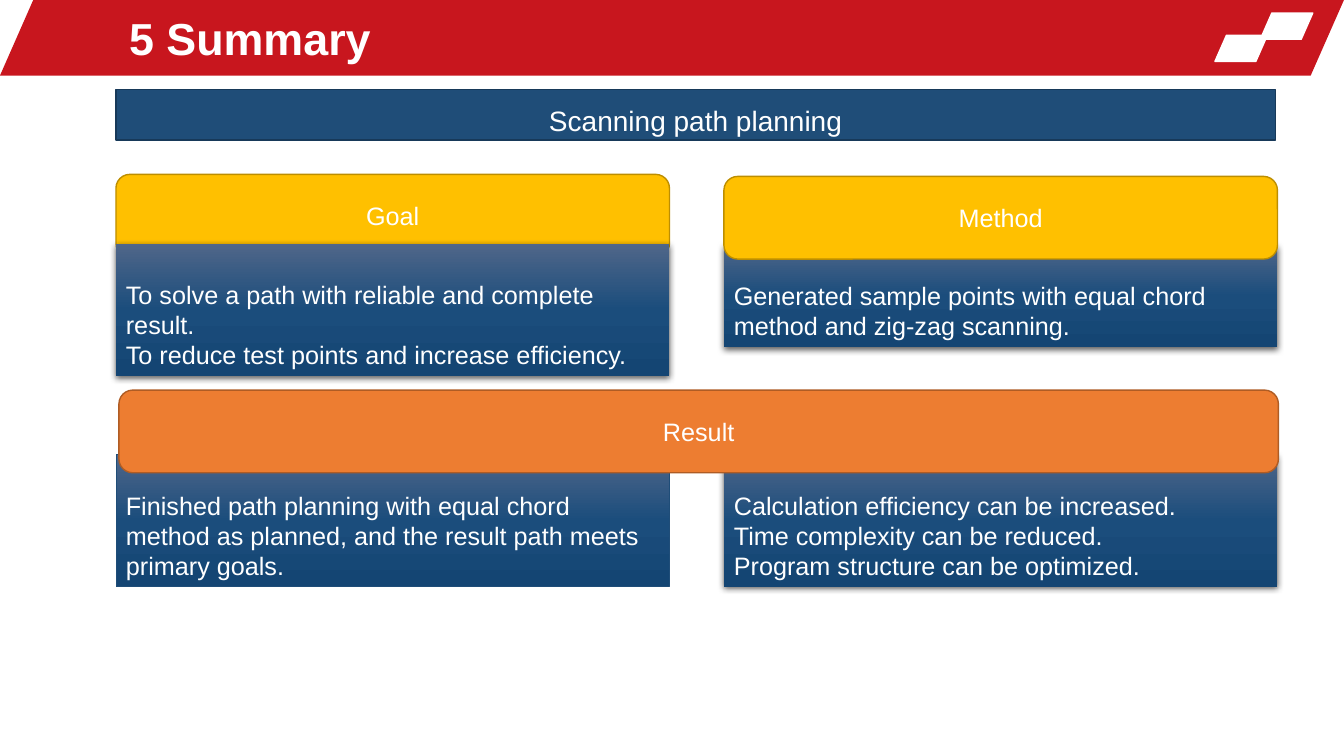
from dataclasses import dataclass

from lxml import etree
from pptx import Presentation
from pptx.dml.color import RGBColor
from pptx.enum.shapes import MSO_SHAPE
from pptx.enum.text import MSO_ANCHOR, MSO_AUTO_SIZE, PP_ALIGN
from pptx.oxml.ns import qn
from pptx.shapes.autoshape import Shape
from pptx.slide import Slide
from pptx.util import Emu, Pt

PARALLELOGRAM = MSO_SHAPE.PARALLELOGRAM
RECTANGLE = MSO_SHAPE.RECTANGLE
ROUNDED = MSO_SHAPE.ROUNDED_RECTANGLE
LEFT, CENTER = PP_ALIGN.LEFT, PP_ALIGN.CENTER
TOP, MIDDLE = MSO_ANCHOR.TOP, MSO_ANCHOR.MIDDLE
NO_AUTOFIT = MSO_AUTO_SIZE.NONE

EMU_PER_PX = 9144
FONT = "Arial"
COLORS = {
    "white": "FFFFFF",
    "red": "C8161E",
    "gold": "FFC000",
    "gold edge": "BD8E00",
    "orange": "ED7D31",
    "orange edge": "AF5C24",
    "navy": "1F4D78",
    "navy edge": "173959",
    "shadow": "000000",
}
CARD_GRADIENT = ((0, "4F6689"), (50, "1B4D7C"), (100, "144573"))
LEFT_COLUMN, RIGHT_COLUMN = 115, 718
COLUMN_WIDTH, FULL_WIDTH = 549, 1150
HEADING_HEIGHT = 82
CARD_TEXT_TOP = 35


@dataclass(frozen=True)
class Box:
    """Place of an element in px."""

    left: int
    top: int
    width: int
    height: int


@dataclass(frozen=True)
class Heading:
    """Rounded label above the cards."""

    text: str
    box: Box
    color: str


@dataclass(frozen=True)
class Card:
    """Gradient panel with body text, shadowed or outlined."""

    lines: tuple[str, ...]
    box: Box
    shadowed: bool = True


GOAL = Heading("Goal", Box(LEFT_COLUMN, 173, COLUMN_WIDTH, HEADING_HEIGHT), "gold")
METHOD = Heading("Method", Box(RIGHT_COLUMN, 175, COLUMN_WIDTH, HEADING_HEIGHT), "gold")
RESULT = Heading("Result", Box(118, 387, FULL_WIDTH, HEADING_HEIGHT), "orange")
GOAL_CARD = Card(
    (
        "To solve a path with reliable and complete result.",
        "To reduce test points and increase efficiency.",
    ),
    Box(LEFT_COLUMN, 242, COLUMN_WIDTH, 131),
)
METHOD_CARD = Card(
    ("Generated sample points with equal chord method and zig-zag scanning.",),
    Box(RIGHT_COLUMN, 243, COLUMN_WIDTH, 101),
)
FINISHED_CARD = Card(
    (
        "Finished path planning with equal chord method as planned, "
        "and the result path meets primary goals.",
    ),
    Box(LEFT_COLUMN, 451, COLUMN_WIDTH, 131),
    shadowed=False,
)
OUTLOOK_CARD = Card(
    (
        "Calculation efficiency can be increased.",
        "Time complexity can be reduced.",
        "Program structure can be optimized.",
    ),
    Box(RIGHT_COLUMN, 451, COLUMN_WIDTH, 131),
)
BACK_TO_FRONT = (GOAL, METHOD_CARD, METHOD, FINISHED_CARD, OUTLOOK_CARD, RESULT, GOAL_CARD)


def px(length: int) -> Emu:
    """Turn px into EMU."""
    return Emu(length * EMU_PER_PX)


def rgb(name: str) -> RGBColor:
    """Look up a named colour."""
    return RGBColor.from_string(COLORS[name])


def write_text(shape: Shape, *lines: str, size: int = 18, bold: bool = False,
               align: PP_ALIGN = CENTER, anchor: MSO_ANCHOR = MIDDLE,
               spacing: float = 1.0, inset_top: int = 5) -> None:
    """Fill a shape with formatted paragraphs."""
    frame = shape.text_frame
    frame.text = "\n".join(lines)
    frame.word_wrap = True
    frame.auto_size = NO_AUTOFIT
    frame.vertical_anchor = anchor
    frame.margin_top = px(inset_top)
    for paragraph in frame.paragraphs:
        paragraph.alignment = align
        paragraph.line_spacing = spacing
        paragraph.space_before = Pt(0)
        font = paragraph.font
        font.name, font.size, font.bold = FONT, Pt(size), bold
        font.color.rgb = rgb("white")


def add_box(slide: Slide, kind: MSO_SHAPE, box: Box, fill: str | None = None,
            edge: str | None = None, edge_width: float = 1) -> Shape:
    """Add a preset shape with its fill and outline."""
    shape = slide.shapes.add_shape(
        kind, px(box.left), px(box.top), px(box.width), px(box.height))
    shape.shadow.inherit = False
    if fill:
        shape.fill.solid()
        shape.fill.fore_color.rgb = rgb(fill)
    if edge:
        shape.line.color.rgb = rgb(edge)
        shape.line.width = Pt(edge_width)
    else:
        shape.line.fill.background()
    return shape


def add_color(parent: etree._Element, value: str) -> etree._Element:
    """Append an RGB colour element."""
    return etree.SubElement(parent, qn("a:srgbClr"), val=value)


def apply_gradient(shape: Shape) -> None:
    """Give a shape the vertical card gradient."""
    shape.fill.gradient()
    shape.fill.gradient_angle = 270
    stops = next(shape.element.iter(qn("a:gsLst")))
    for stop in list(stops):
        stops.remove(stop)
    for percent, color in CARD_GRADIENT:
        add_color(etree.SubElement(stops, qn("a:gs"), pos=str(percent * 1000)), color)


def apply_shadow(shape: Shape) -> None:
    """Cast a soft shadow below a shape."""
    effects = next(shape.element.iter(qn("a:effectLst")))
    shadow = etree.SubElement(
        effects, qn("a:outerShdw"), blurRad=str(Pt(4.5)), dist=str(Pt(1.5)),
        dir="5400000", algn="ctr", rotWithShape="0")
    etree.SubElement(add_color(shadow, COLORS["shadow"]), qn("a:alpha"), val="63000")


def add_heading(slide: Slide, heading: Heading) -> None:
    """Draw a rounded heading."""
    shape = add_box(slide, ROUNDED, heading.box, heading.color, f"{heading.color} edge")
    write_text(shape, heading.text)


def add_card(slide: Slide, card: Card) -> None:
    """Draw a gradient card."""
    shape = add_box(slide, RECTANGLE, card.box,
                    edge=None if card.shadowed else "navy", edge_width=0.5)
    apply_gradient(shape)
    if card.shadowed:
        apply_shadow(shape)
    write_text(shape, *card.lines, align=LEFT, anchor=TOP, inset_top=CARD_TEXT_TOP)


def add_title_band(slide: Slide) -> None:
    """Draw the slanted title band and place the title on it."""
    band = add_box(slide, PARALLELOGRAM, Box(0, 0, 1333, 75), "red")
    tiles = [add_box(slide, PARALLELOGRAM, Box(left, top, 52, 26), "white", "white")
             for left, top in ((1250, 13), (1205, 35))]
    for shape in (band, *tiles):
        shape.adjustments[0] = 0.44
    title = slide.shapes.title
    title.left, title.top, title.width, title.height = px(118), px(5), px(774), px(65)
    write_text(title, "5 Summary", size=32, bold=True, align=LEFT)
    tiles[-1].element.addnext(title.element)


def main() -> None:
    """Build and save the summary slide."""
    presentation = Presentation()
    presentation.slide_width, presentation.slide_height = px(1333), px(750)
    slide = presentation.slides.add_slide(presentation.slide_layouts[5])
    add_title_band(slide)
    for item in BACK_TO_FRONT:
        if isinstance(item, Heading):
            add_heading(slide, item)
        else:
            add_card(slide, item)
    topic = add_box(slide, RECTANGLE, Box(115, 89, FULL_WIDTH, 50), "navy", "navy edge")
    write_text(topic, "Scanning path planning", size=20, spacing=1.3)
    presentation.save("out.pptx")


if __name__ == "__main__":
    main()
